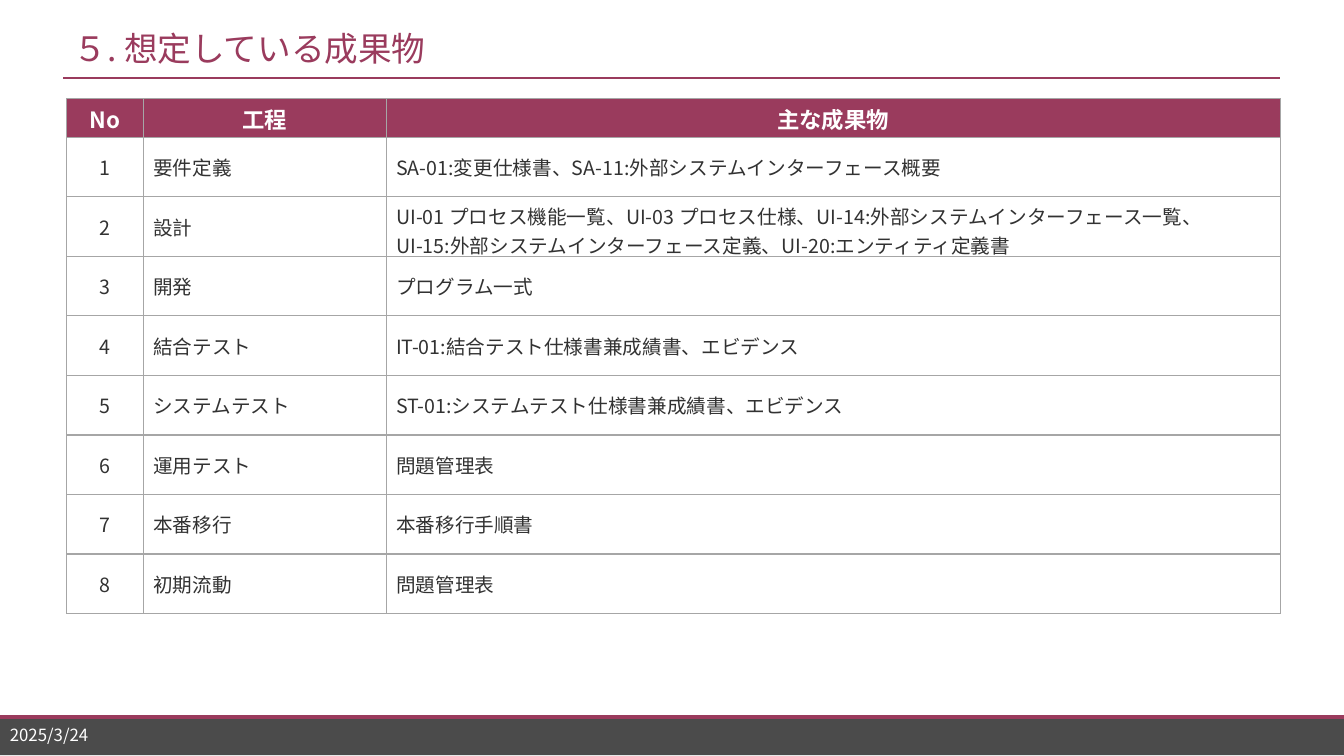
from dataclasses import dataclass

from lxml.etree import SubElement
from pptx import Presentation
from pptx.dml.color import RGBColor
from pptx.enum.shapes import MSO_CONNECTOR, MSO_SHAPE
from pptx.enum.text import MSO_ANCHOR, MSO_AUTO_SIZE, PP_ALIGN
from pptx.oxml.ns import qn
from pptx.util import Cm, Pt

TITLE = "５. 想定している成果物"
DATE = "2025/3/24"
HEADER = ("No", "工程", "主な成果物")
DELIVERABLES = [
    ("要件定義", ["SA-01:変更仕様書、SA-11:外部システムインターフェース概要"]),
    ("設計", [
        "UI-01 プロセス機能一覧、UI-03 プロセス仕様、UI-14:外部システムインターフェース一覧、",
        "UI-15:外部システムインターフェース定義、UI-20:エンティティ定義書",
    ]),
    ("開発", ["プログラム一式"]),
    ("結合テスト", ["IT-01:結合テスト仕様書兼成績書、エビデンス"]),
    ("システムテスト", ["ST-01:システムテスト仕様書兼成績書、エビデンス"]),
    ("運用テスト", ["問題管理表"]),
    ("本番移行", ["本番移行手順書"]),
    ("初期流動", ["問題管理表"]),
]


@dataclass(frozen=True)
class Theme:
    font: str = "Noto Sans CJK JP"
    accent: str = "9A3B5D"
    footer: str = "4B4B4B"
    ink: str = "323232"
    white: str = "FFFFFF"
    grid: str = "A6A6A6"
    title_size: int = 24
    header_size: int = 16
    body_size: int = 14
    date_size: int = 12


THEME = Theme()
WIDTH, HEIGHT = 33.87, 19.05
TABLE_LEFT, TABLE_TOP = 1.68, 2.49
COLUMN_WIDTHS = (1.93, 6.12, 22.53)
HEADER_HEIGHT, ROW_HEIGHT = 0.97, 1.5
TIGHT_MARGIN = 0.1


def write(frame, lines, size, color, bold=False, align=PP_ALIGN.LEFT):
    for index, line in enumerate(lines):
        para = frame.paragraphs[0] if index == 0 else frame.add_paragraph()
        para.alignment = align
        span = para.add_run()
        span.text = line
        font = span.font
        font.size = Pt(size)
        font.bold = bold
        font.color.rgb = RGBColor.from_string(color)
        font.name = THEME.font
        SubElement(span._r.get_or_add_rPr(), qn("a:ea"), typeface=THEME.font)


def add_rule(page, left, right, top, weight):
    rule = page.shapes.add_connector(
        MSO_CONNECTOR.STRAIGHT, Cm(left), Cm(top), Cm(right), Cm(top))
    rule.line.color.rgb = RGBColor.from_string(THEME.accent)
    rule.line.width = Pt(weight)
    SubElement(rule._element.spPr, qn("a:effectLst"))


def add_borders(cell):
    properties = cell._tc.get_or_add_tcPr()
    for side in ("lnL", "lnR", "lnT", "lnB"):
        border = SubElement(properties, qn(f"a:{side}"), w=str(Pt(1)))
        fill = SubElement(border, qn("a:solidFill"))
        SubElement(fill, qn("a:srgbClr"), val=THEME.grid)


def fill_cell(cell, lines, header, centered):
    add_borders(cell)
    cell.vertical_anchor = MSO_ANCHOR.MIDDLE
    if centered:
        cell.margin_left = cell.margin_right = Cm(TIGHT_MARGIN)
        cell.margin_top = cell.margin_bottom = Cm(TIGHT_MARGIN)
    if header:
        cell.fill.solid()
        cell.fill.fore_color.rgb = RGBColor.from_string(THEME.accent)
    else:
        cell.fill.background()
    write(cell.text_frame, lines,
          size=THEME.header_size if header else THEME.body_size,
          color=THEME.white if header else THEME.ink,
          bold=header,
          align=PP_ALIGN.CENTER if centered else PP_ALIGN.LEFT)


def add_footer(page):
    band = page.shapes.add_shape(
        MSO_SHAPE.RECTANGLE, 0, Cm(18.03), Cm(WIDTH), Cm(1))
    band.shadow.inherit = False
    band.fill.solid()
    band.fill.fore_color.rgb = RGBColor.from_string(THEME.footer)
    band.line.fill.background()
    add_rule(page, 0, WIDTH, 18.06, 2.75)
    box = page.shapes.add_textbox(0, Cm(18.21), Cm(4), Cm(0.61))
    box.text_frame.word_wrap = True
    box.text_frame.vertical_anchor = MSO_ANCHOR.MIDDLE
    write(box.text_frame, [DATE], size=THEME.date_size, color=THEME.white)


def add_title(page):
    title = page.shapes.title
    title.left, title.top, title.width, title.height = (
        Cm(1.6), Cm(0.51), Cm(30.66), Cm(1.4))
    frame = title.text_frame
    frame.word_wrap = False
    frame.auto_size = MSO_AUTO_SIZE.NONE
    frame.vertical_anchor = MSO_ANCHOR.MIDDLE
    write(frame, [TITLE], size=THEME.title_size, color=THEME.accent)
    add_rule(page, 1.6, 32.26, 1.97, 1.5)


def add_deliverables(page):
    rows = [[[label] for label in HEADER]]
    rows += [[[str(number)], [phase], outputs]
             for number, (phase, outputs) in enumerate(DELIVERABLES, 1)]
    heights = [HEADER_HEIGHT] + [ROW_HEIGHT] * len(DELIVERABLES)
    table = page.shapes.add_table(
        len(rows), len(HEADER), Cm(TABLE_LEFT), Cm(TABLE_TOP),
        Cm(sum(COLUMN_WIDTHS)), Cm(sum(heights))).table
    table.horz_banding = False
    for column, width in zip(table.columns, COLUMN_WIDTHS):
        column.width = Cm(width)
    for row_index, (lines_by_cell, height) in enumerate(zip(rows, heights)):
        table.rows[row_index].height = Cm(height)
        for column_index, lines in enumerate(lines_by_cell):
            header = row_index == 0
            fill_cell(table.cell(row_index, column_index), lines,
                      header=header, centered=header or column_index == 0)


def main():
    deck = Presentation()
    deck.slide_width, deck.slide_height = Cm(WIDTH), Cm(HEIGHT)
    page = deck.slides.add_slide(deck.slide_layouts[5])
    add_footer(page)
    add_title(page)
    add_deliverables(page)
    deck.save("out.pptx")


if __name__ == "__main__":
    main()
